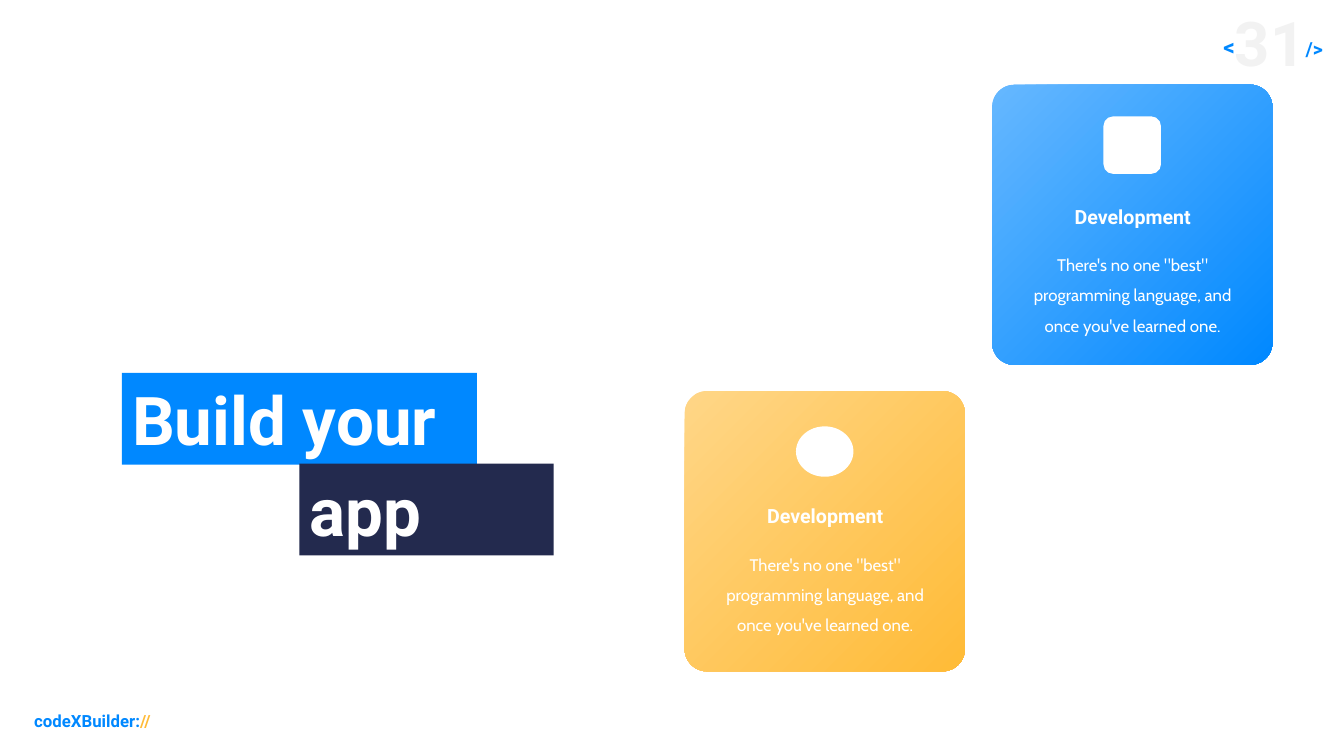
import pptx
import pptx.util
import pptx.dml.color
import pptx.enum.shapes
import pptx.enum.text
import pptx.oxml
from pptx.util import Inches

SHAPE = pptx.enum.shapes.MSO_SHAPE
ALIGN = pptx.enum.text.PP_ALIGN
ANCHOR = pptx.enum.text.MSO_ANCHOR

BLUE, NAVY, YELLOW = "0088FF", "232A4E", "FFBB37"
WHITE, PALE_GREY = "FFFFFF", "F2F2F2"
CORNER_GRADIENT = (
    '<a:path xmlns:a="http://schemas.openxmlformats.org/drawingml/2006/main" path="circle">'
    '<a:fillToRect l="100000" t="100000"/></a:path>')


def rgb(value):
    return pptx.dml.color.RGBColor.from_string(value)


class SlideBuilder:
    heading_font = "Roboto"
    body_font = "Cabin"

    def __init__(self, slide):
        self.slide = slide

    def format_run(self, r, size, color, font, bold=False, baseline=0):
        r.font.size = pptx.util.Pt(size)
        r.font.name = font
        r.font.bold = bold
        r.font.color.rgb = rgb(color)
        if baseline:
            r.font._element.set("baseline", str(baseline * 1000))

    def shape(self, kind, x, y, w, h, color):
        s = self.slide.shapes.add_shape(kind, Inches(x), Inches(y), Inches(w), Inches(h))
        s.shadow.inherit = False
        s.fill.solid()
        s.fill.fore_color.rgb = rgb(color)
        s.line.fill.background()
        return s

    def banner(self, s, text):
        """Large white words on a filled rectangle."""
        tf = s.text_frame
        tf.text = text
        tf.auto_size = pptx.enum.text.MSO_AUTO_SIZE.NONE
        tf.vertical_anchor = ANCHOR.MIDDLE
        p = tf.paragraphs[0]
        p.alignment = ALIGN.LEFT
        self.format_run(p.runs[0], 48, WHITE, self.heading_font, bold=True)

    def title(self, text, x, y, w, h, color):
        s = self.slide.shapes.title
        s.left, s.top, s.width, s.height = Inches(x), Inches(y), Inches(w), Inches(h)
        s.fill.solid()
        s.fill.fore_color.rgb = rgb(color)
        self.banner(s, text)

    def text(self, runs, x, y, w, h, align=ALIGN.LEFT, spacing=1.0,
             anchor=ANCHOR.TOP, wrap=True):
        """Each run is its text followed by the arguments of format_run."""
        tf = self.slide.shapes.add_textbox(
            Inches(x), Inches(y), Inches(w), Inches(h)).text_frame
        tf.word_wrap = wrap
        tf.vertical_anchor = anchor
        p = tf.paragraphs[0]
        p.alignment = align
        p.line_spacing = spacing
        for words, *style in runs:
            r = p.add_run()
            r.text = words
            self.format_run(r, *style)

    def card(self, x, y, dark, light, icon, icon_height, heading_dy):
        size = 2.78
        s = self.shape(SHAPE.ROUNDED_RECTANGLE, x, y, size, size, dark)
        s.adjustments[0] = 0.08
        s.fill.gradient()
        for stop, color in zip(s.fill.gradient_stops, (dark, light)):
            stop.color.rgb = rgb(color)
        lin = s._element.xpath(".//a:lin")[0]
        lin.getparent().replace(lin, pptx.oxml.parse_xml(CORNER_GRADIENT))

        icon_width = 0.57
        self.shape(icon, x + (size - icon_width) / 2, y + 0.59 - icon_height / 2 + 0.01,
                   icon_width, icon_height, WHITE)
        self.text([("Development", 14, WHITE, self.heading_font, True)],
                  x + 0.61, y + heading_dy, 1.57, 0.37, ALIGN.CENTER, 1.3)
        self.text([("There's no one \"best\" programming language, and "
                    "once you've learned one.", 12, WHITE, self.body_font)],
                  x + 0.13, y + heading_dy + 0.47, 2.53, 0.97, ALIGN.CENTER, 1.5)


def main():
    prs = pptx.Presentation()
    prs.slide_width, prs.slide_height = Inches(13.33), Inches(7.5)
    b = SlideBuilder(prs.slides.add_slide(prs.slide_layouts[5]))
    font = b.heading_font

    # Page number and footer
    b.text([("<", 28, BLUE, font, True, 30),
            ("31", 44, PALE_GREY, font, True),
            ("/>", 24, BLUE, font, True, 30)],
           10.67, 0, 2.55, 0.84, ALIGN.RIGHT, anchor=ANCHOR.MIDDLE)
    b.text([("codeXBuilder:", 12, BLUE, font, True),
            ("//", 12, YELLOW, font, True)], 0.24, 7, 1.48, 0.3, wrap=False)

    # Language cards
    b.card(6.79, 3.88, YELLOW, "FFD687", SHAPE.OVAL, 0.5, 1.0)
    b.card(9.84, 0.84, BLUE, "66B8FF", SHAPE.ROUNDED_RECTANGLE, 0.57, 1.07)

    # Headline in two steps
    b.title("Build your", 1.21, 3.7, 3.52, 0.91, BLUE)
    b.banner(b.shape(SHAPE.RECTANGLE, 2.97, 4.6, 2.52, 0.91, NAVY), "app")

    prs.save("out.pptx")


if __name__ == "__main__":
    main()
